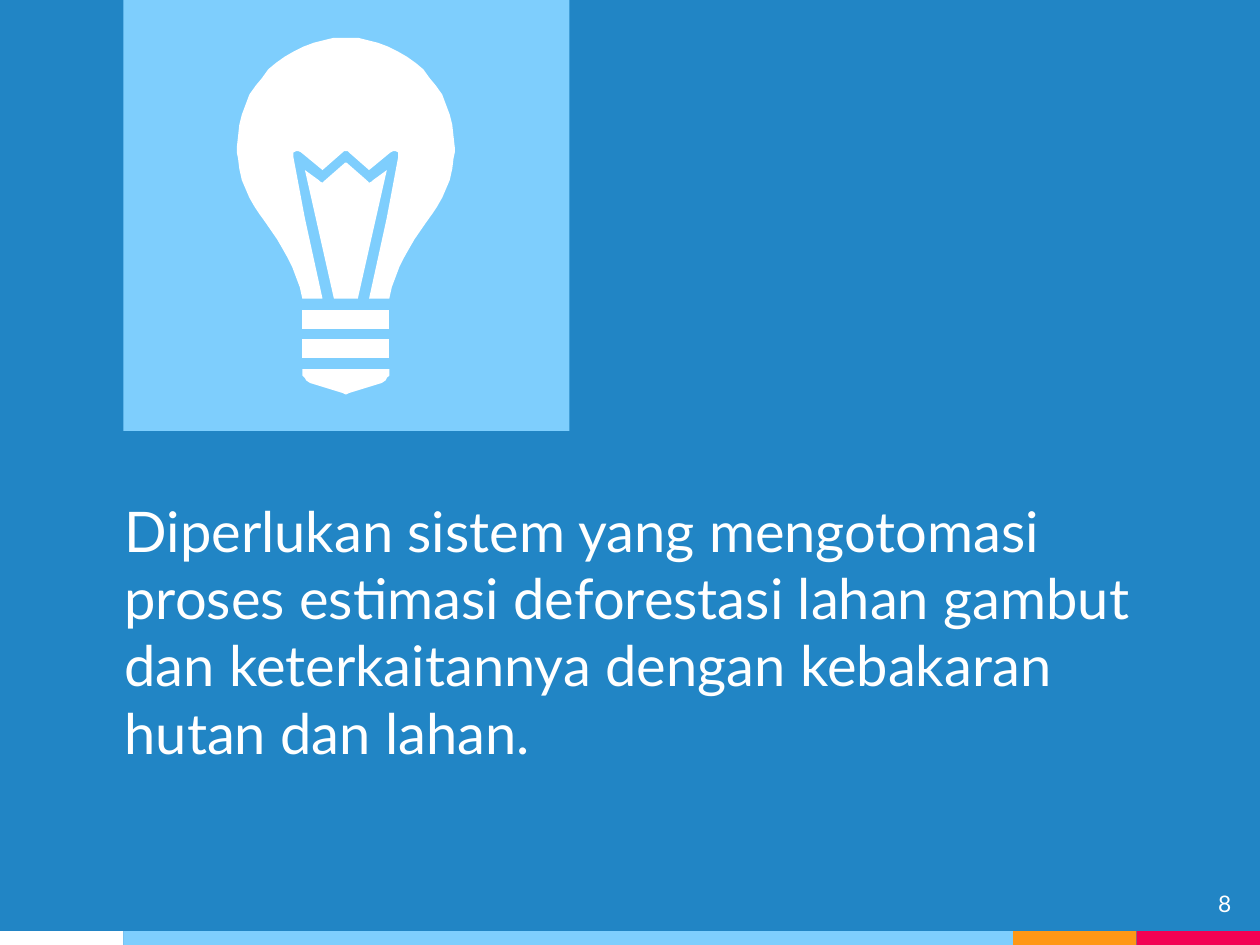
"""Build a statement slide with a light bulb icon and a coloured footer strip."""
import pptx
import pptx.dml.color
import pptx.enum.shapes
import pptx.enum.text
import pptx.util

Inches = pptx.util.Inches
COLORS = {
    "blue": "2185C5",
    "sky": "7ECEFD",
    "orange": "FF9715",
    "red": "F20253",
    "white": "FFFFFF",
}
BULB_AXIS = 2.745
BULB_TOP = [
    (2.74, 0.3), (2.65, 0.3), (2.57, 0.32), (2.49, 0.34), (2.41, 0.37),
    (2.33, 0.41), (2.26, 0.45), (2.19, 0.5), (2.13, 0.55), (2.08, 0.62),
    (2.03, 0.68), (1.98, 0.75), (1.95, 0.83), (1.92, 0.91), (1.9, 0.99),
    (1.89, 1.08), (1.88, 1.17),
]
BULB_SIDE = [
    (1.88, 1.21), (1.89, 1.26), (1.9, 1.34), (1.92, 1.43), (1.95, 1.5),
    (1.98, 1.57), (2.02, 1.64), (2.06, 1.7), (2.11, 1.77), (2.2, 1.9),
    (2.24, 1.97), (2.28, 2.04), (2.32, 2.12), (2.35, 2.2), (2.38, 2.28),
    (2.4, 2.37),
]
BULB_SLOT = [
    (2.56, 2.37), (2.42, 1.73), (2.33, 1.25), (2.33, 1.23), (2.33, 1.21),
    (2.35, 1.2), (2.36, 1.2), (2.37, 1.2), (2.39, 1.21), (2.56, 1.35),
    (2.72, 1.21), (2.73, 1.2),
]
FILAMENT = [
    (2.74, 1.29), (2.58, 1.43), (2.57, 1.44), (2.56, 1.45), (2.54, 1.44),
    (2.53, 1.43), (2.42, 1.35), (2.65, 2.37),
]
CAP = [
    (2.4, 2.93), (2.4, 2.98), (2.42, 3), (2.43, 3.02), (2.46, 3.04),
    (2.72, 3.12), (2.74, 3.13),
]
BANDS = [[(2.4, y), (2.4, y + 0.15)] for y in (2.46, 2.69)]


def rgb(name):
    """Return the named colour."""
    return pptx.dml.color.RGBColor.from_string(COLORS[name])


def paint(sp, color):
    """Give a shape a plain fill without line or shadow."""
    sp.fill.solid()
    sp.fill.fore_color.rgb = rgb(color)
    sp.line.fill.background()
    sp.shadow.inherit = False


def add_rect(s, x, y, w, h, color):
    """Add a filled rectangle."""
    kind = pptx.enum.shapes.MSO_SHAPE.RECTANGLE
    sp = s.shapes.add_shape(kind, Inches(x), Inches(y), Inches(w), Inches(h))
    paint(sp, color)


def add_text(s, text, x, y, w, h, size, align="LEFT", before=0):
    """Add a wrapped white text box."""
    tf = s.shapes.add_textbox(Inches(x), Inches(y), Inches(w), Inches(h)).text_frame
    tf.word_wrap = True
    tf.margin_left = tf.margin_right = Inches(0.1)
    tf.margin_top = tf.margin_bottom = Inches(0.1)
    p = tf.paragraphs[0]
    p.alignment = getattr(pptx.enum.text.PP_ALIGN, align)
    p.space_before = pptx.util.Pt(before)
    r = p.add_run()
    r.text = text
    r.font.name = "Lato"
    r.font.size = pptx.util.Pt(size)
    r.font.color.rgb = rgb("white")


def add_symmetric(group, half):
    """Add a white outline from its left half, mirrored on the bulb axis."""
    mirrored = [(2 * BULB_AXIS - x, y) for x, y in reversed(half)]
    points = [(Inches(x), Inches(y)) for x, y in half + mirrored]
    builder = group.shapes.build_freeform(*points[0])
    builder.add_line_segments(points[1:], close=True)
    paint(builder.convert_to_shape(), "white")


def add_bulb(s):
    """Add the light bulb as one group."""
    group = s.shapes.add_group_shape()
    for half in [*BANDS, CAP, FILAMENT, BULB_TOP + BULB_SIDE + BULB_SLOT]:
        add_symmetric(group, half)


def add_footer(s):
    """Add the strip of coloured segments along the bottom edge."""
    x = 0
    for w, color in ((0.98, "white"), (7.06, "sky"), (0.98, "orange"), (0.98, "red")):
        add_rect(s, x, 7.39, w, 0.11, color)
        x += w


def main():
    """Build and save the slide."""
    prs = pptx.Presentation()
    prs.slide_width, prs.slide_height = Inches(10), Inches(7.5)
    s = prs.slides.add_slide(prs.slide_layouts[6])
    s.background.fill.solid()
    s.background.fill.fore_color.rgb = rgb("blue")
    add_footer(s)
    add_rect(s, 0.98, 0, 3.54, 3.42, "sky")
    add_text(
        s,
        "Diperlukan sistem yang mengotomasi proses estimasi deforestasi lahan "
        "gambut dan keterkaitannya dengan kebakaran hutan dan lahan.",
        0.89, 3.84, 8.68, 1.14, size=32, before=6,
    )
    add_text(s, "8", 9.27, 6.96, 0.6, 0.46, size=13, align="RIGHT")
    add_bulb(s)
    prs.save("out.pptx")


if __name__ == "__main__":
    main()
